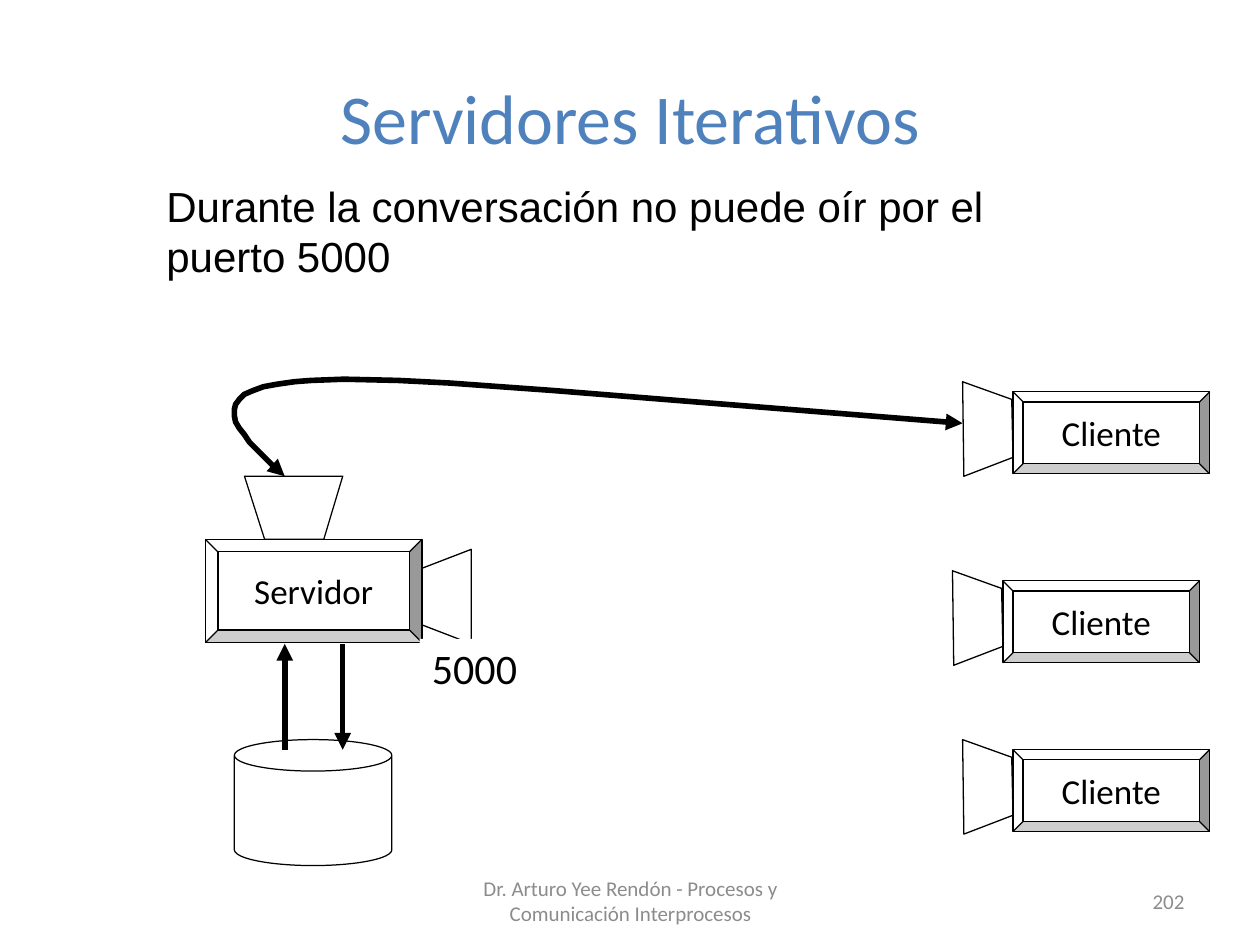
"""Build the slide about iterative servers and save it."""
from lxml.etree import SubElement
from pptx import Presentation
from pptx.dml.color import RGBColor
from pptx.enum.shapes import MSO_CONNECTOR, MSO_SHAPE
from pptx.enum.text import MSO_ANCHOR, MSO_AUTO_SIZE, PP_ALIGN
from pptx.oxml.ns import qn
from pptx.util import Inches, Pt

hue = RGBColor.from_string


def write(shape, text, size, color="000000", font="Calibri", align=PP_ALIGN.CENTER,
          anchor=MSO_ANCHOR.MIDDLE, inset=(0, 0)):
    frame = shape.text_frame
    frame.word_wrap = True
    frame.auto_size = MSO_AUTO_SIZE.NONE
    frame.vertical_anchor = anchor
    frame.margin_left = frame.margin_right = Inches(inset[0])
    frame.margin_top = frame.margin_bottom = Inches(inset[1])
    para = frame.paragraphs[0]
    para.alignment = align
    run = para.add_run()
    run.text = text
    run.font.size = Pt(size)
    run.font.name = font
    run.font.color.rgb = hue(color)


def draw(points, fill=None, width=0, close=True):
    spots = [(Inches(x), Inches(y)) for x, y in points]
    pen = slide.shapes.build_freeform(*spots[0], scale=1.0)
    pen.add_line_segments(spots[1:], close=close)
    shape = pen.convert_to_shape()
    shape.shadow.inherit = False
    if fill:
        shape.fill.solid()
        shape.fill.fore_color.rgb = hue(fill)
    else:
        shape.fill.background()
    if width:
        shape.line.color.rgb = hue("000000")
        shape.line.width = Pt(width)
    else:
        shape.line.fill.background()
    return shape


deck = Presentation()
deck.slide_width, deck.slide_height = Inches(10), Inches(7.5)
slide = deck.slides.add_slide(deck.slide_layouts[5])

title = slide.shapes.title
title.left, title.top = Inches(0.5), Inches(0.59)
title.width, title.height = Inches(9), Inches(0.67)
write(title, "Servidores Iterativos", 40, "4F81BD")

note = slide.shapes.add_textbox(Inches(1.32), Inches(1.43), Inches(7.35), Inches(0.81))
write(note, "Durante la conversación no puede oír por el puerto 5000", 24,
      font="Arial", align=PP_ALIGN.LEFT, anchor=MSO_ANCHOR.TOP)

nodes = [
    ("Servidor", 1.63, 4.28, 1.72, 0.82, 0.1),
    ("Cliente", 7.96, 4.61, 1.56, 0.65, 0.08),
    ("Cliente", 8.04, 5.95, 1.56, 0.65, 0.08),
    ("Cliente", 8.04, 3.11, 1.56, 0.65, 0.08),
]
lines = []
for name, x, y, w, h, rim in nodes:
    outer = [(x, y), (x + w, y), (x + w, y + h), (x, y + h)]
    inner = [(x + rim, y + rim), (x + w - rim, y + rim),
             (x + w - rim, y + h - rim), (x + rim, y + h - rim)]
    for a, b, color in [(2, 3, "CDCDCD"), (3, 0, "FFFFFF"), (1, 2, "999999")]:
        draw([outer[a], outer[b], inner[b], inner[a]], color)
    draw(outer, width=0.72)
    lines += [(a, b, 0.72, False) for a, b in zip(outer, inner)]

    face = slide.shapes.add_shape(MSO_SHAPE.RECTANGLE, Inches(x + rim), Inches(y + rim),
                                  Inches(w - 2 * rim), Inches(h - 2 * rim))
    face.shadow.inherit = False
    face.fill.background()
    face.line.color.rgb = hue("000000")
    face.line.width = Pt(0.72)
    write(face, name, 20)

    if name == "Cliente":
        draw([(x - 0.39, y + 0.67), (x - 0.4, y - 0.08),
              (x - 0.01, y + 0.06), (x, y + 0.52)], width=0.75)

draw([(3.74, 4.36), (3.74, 5.11), (3.35, 4.96), (3.35, 4.51)], width=0.75)
draw([(1.94, 3.78), (2.72, 3.78), (2.57, 4.28), (2.1, 4.28)], width=0.72)

disk = slide.shapes.add_shape(MSO_SHAPE.CAN, Inches(1.86), Inches(5.87),
                              Inches(1.25), Inches(1))
disk.adjustments[0] = 0.25
disk.shadow.inherit = False
disk.fill.background()
disk.line.color.rgb = hue("000000")
disk.line.width = Pt(0.72)

lines += [((2.26, 5.95), (2.26, 5.11), 3.2, True), ((2.72, 5.11), (2.72, 5.95), 3.2, True)]
for (x1, y1), (x2, y2), width, arrow in lines:
    link = slide.shapes.add_connector(MSO_CONNECTOR.STRAIGHT, Inches(x1), Inches(y1),
                                      Inches(x2), Inches(y2))
    link.line.color.rgb = hue("000000")
    link.line.width = Pt(width)
    props = link.element.spPr
    if arrow:
        SubElement(props.get_or_add_ln(), qn("a:tailEnd"), type="triangle")
    SubElement(props, qn("a:effectLst"))

talk = draw([(2.26, 3.78), (2.16, 3.69), (2.1, 3.63), (2.04, 3.57), (1.98, 3.51),
             (1.94, 3.45), (1.9, 3.4), (1.87, 3.35), (1.86, 3.3), (1.86, 3.25),
             (1.87, 3.21), (1.9, 3.17), (1.94, 3.13), (2.01, 3.1), (2.09, 3.07),
             (2.2, 3.05), (2.34, 3.03), (2.47, 3.02), (2.73, 3.01), (3.16, 3.02),
             (3.56, 3.04), (4.39, 3.1), (7.64, 3.36)], width=3.2, close=False)
for end in ("a:headEnd", "a:tailEnd"):
    SubElement(talk.element.spPr.get_or_add_ln(), qn(end), type="triangle")

port = slide.shapes.add_textbox(Inches(3.33), Inches(5.07), Inches(0.88), Inches(0.51))
port.fill.solid()
port.fill.fore_color.rgb = hue("FFFFFF")
write(port, "5000", 24, align=PP_ALIGN.LEFT, anchor=MSO_ANCHOR.TOP, inset=(0.1, 0.03))

for x, w, text, align in [
    (3.42, 3.17, "Dr. Arturo Yee Rendón - Procesos y Comunicación Interprocesos", PP_ALIGN.CENTER),
    (7.17, 2.33, "202", PP_ALIGN.RIGHT),
]:
    foot = slide.shapes.add_textbox(Inches(x), Inches(6.95), Inches(w), Inches(0.4))
    write(foot, text, 12, "8C8C8C", align=align, inset=(0.1, 0.05))

deck.save("out.pptx")
